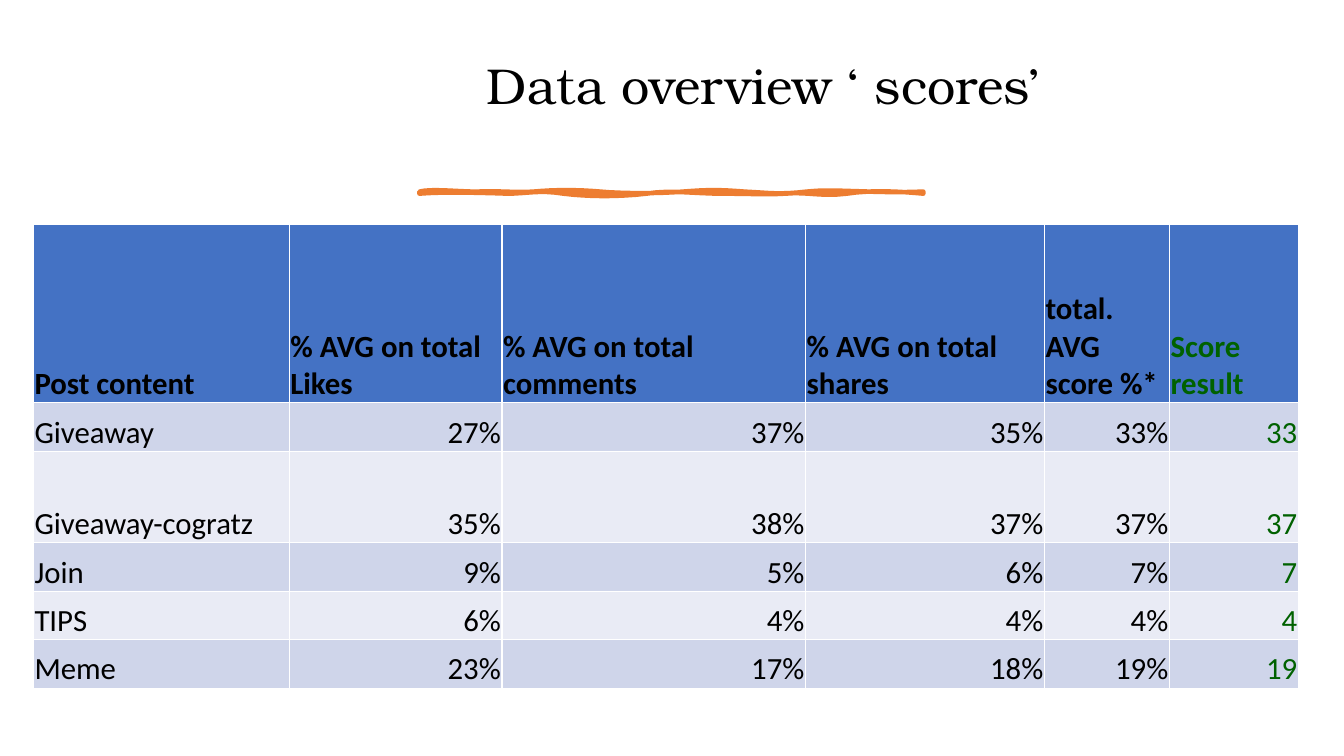
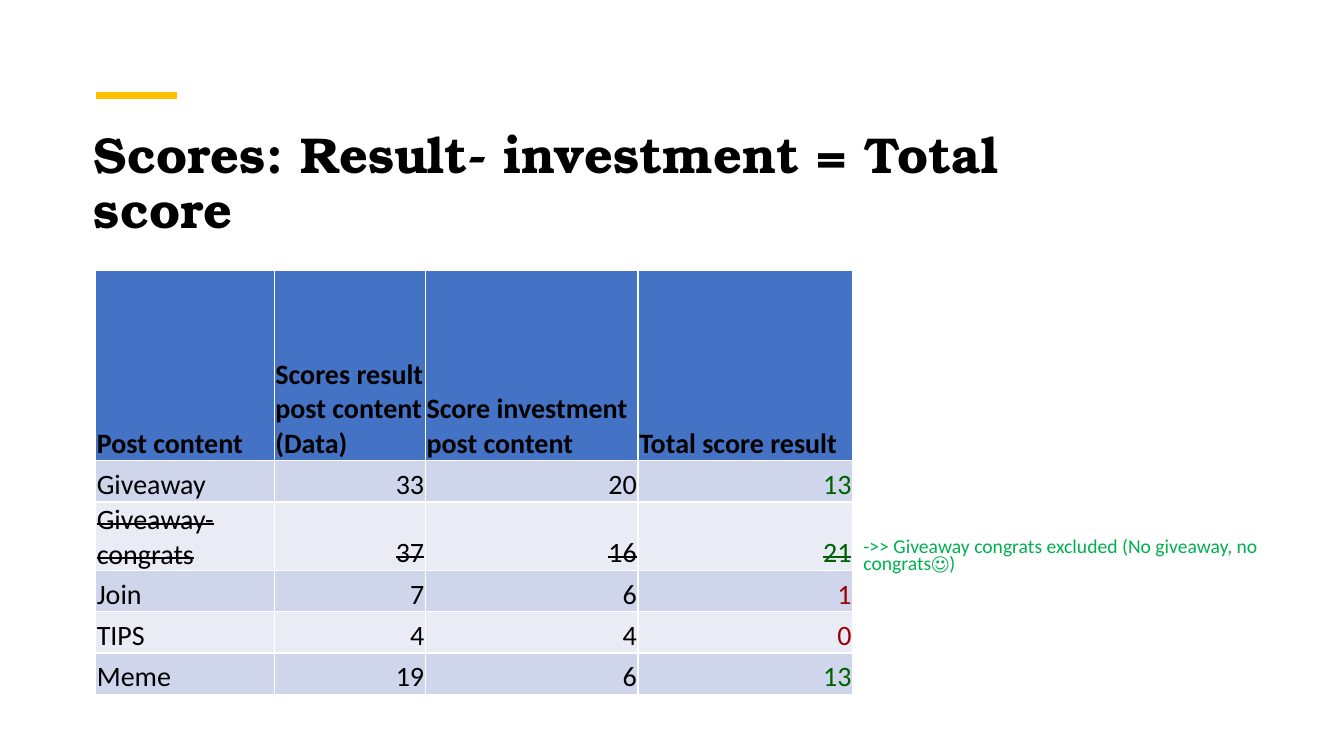
from dataclasses import dataclass

from pptx import Presentation
from pptx.dml.color import RGBColor as RGB
from pptx.enum.shapes import MSO_CONNECTOR as CONN
from pptx.enum.text import MSO_ANCHOR as ANCHOR, MSO_AUTO_SIZE as AUTO, PP_ALIGN as ALIGN
from pptx.oxml.ns import qn
from pptx.util import Cm, Pt
from lxml.etree import SubElement


@dataclass(frozen=True)
class Theme:
    black: str = "000000"
    header: str = "4472C4"
    bands: tuple = ("CFD5EA", "E9EBF5")
    good: str = "006100"
    bad: str = "9C0006"
    note: str = "00B050"
    orange: str = "ED7D31"
    gold: str = "FFC000"
    title_font: str = "TeX Gyre Bonum"
    body_font: str = "Calibri"
    title_size: int = 36
    note_size: int = 14


T = Theme()


def bezier(start, segments, steps=8):
    """Points along a chain of cubic curves."""
    for c1, c2, end in segments:
        for i in range(1, steps + 1):
            t = i / steps
            weights = ((1 - t) ** 3, 3 * t * (1 - t) ** 2, 3 * t * t * (1 - t), t ** 3)
            yield tuple(sum(w * pt[axis] for w, pt in zip(weights, (start, c1, c2, end)))
                        for axis in (0, 1))
        start = end


class Deck:
    def __init__(self):
        self.prs = Presentation()
        self.prs.slide_width, self.prs.slide_height = Cm(33.87), Cm(19.05)
        self.s = None

    def slide(self):
        self.s = self.prs.slides.add_slide(self.prs.slide_layouts[5])

    def style(self, p, size, color=T.black, font=T.body_font, bold=False,
              align=ALIGN.LEFT, spacing=None):
        f = p.font
        f.name, f.size, f.bold = font, Pt(size), bold
        f.color.rgb = RGB.from_string(color)
        p.alignment = align
        if spacing:
            p.line_spacing = spacing

    def place(self, sp, box):
        sp.left, sp.top, sp.width, sp.height = map(Cm, box)

    def title(self, text, box, bold=False, align=ALIGN.LEFT, anchor=ANCHOR.TOP,
              indent=0, bottom=0.13):
        sp = self.s.shapes.title
        self.place(sp, box)
        tf = sp.text_frame
        tf.text = text
        tf.auto_size, tf.vertical_anchor = AUTO.NONE, anchor
        tf.margin_bottom = Cm(bottom)
        p = tf.paragraphs[0]
        self.style(p, T.title_size, font=T.title_font, bold=bold, align=align, spacing=0.9)
        if indent:
            p._p.get_or_add_pPr().set("marL", str(Cm(indent)))

    def note(self, text, box, top):
        tf = self.s.shapes.add_textbox(*map(Cm, box)).text_frame
        tf.word_wrap, tf.margin_top = True, Cm(top)
        tf.text = text
        self.style(tf.paragraphs[0], T.note_size, T.note, spacing=0.7)

    def line(self, x1, y1, x2, y2, color, width):
        sp = self.s.shapes.add_connector(CONN.STRAIGHT, *map(Cm, (x1, y1, x2, y2)))
        sp.line.color.rgb, sp.line.width = RGB.from_string(color), Pt(width)
        SubElement(sp._element.spPr, qn("a:effectLst"))

    def brush(self, left, top, upper, lower, color, width):
        edge = upper[-1][2]
        start = (edge[0], lower[-1][2][1])
        points = [*bezier((0, 0), upper), start, *bezier(start, lower)]
        fb = self.s.shapes.build_freeform(Cm(left), Cm(top))
        fb.add_line_segments([(Cm(left + x), Cm(top + y)) for x, y in points])
        sp = fb.convert_to_shape()
        sp.shadow.inherit = False
        sp.fill.solid()
        sp.fill.fore_color.rgb = sp.line.color.rgb = RGB.from_string(color)
        sp.line.width = Pt(width)

    def table(self, left, top, widths, heights, rows, size, last_colors, struck=None):
        frame = self.s.shapes.add_table(len(rows), len(widths), Cm(left), Cm(top),
                                        Cm(sum(widths)), Cm(sum(heights)))
        tbl = frame.table
        for col, w in zip(tbl.columns, widths):
            col.width = Cm(w)
        for i, (row, h) in enumerate(zip(rows, heights)):
            tbl.rows[i].height = Cm(h)
            for j, text in enumerate(row):
                cell = tbl.cell(i, j)
                cell.fill.solid()
                cell.fill.fore_color.rgb = RGB.from_string(
                    T.bands[(i - 1) % 2] if i else T.header)
                cell.vertical_anchor = ANCHOR.BOTTOM
                cell.margin_left = cell.margin_right = cell.margin_top = Cm(0.03)
                cell.margin_bottom = 0
                cell.text = text
                p = cell.text_frame.paragraphs[0]
                self.style(p, size, last_colors[i] if j == len(row) - 1 else T.black,
                           bold=i == 0, align=ALIGN.RIGHT if i and j else ALIGN.LEFT)
                if i == struck:
                    p.runs[0]._r.get_or_add_rPr().set("strike", "sngStrike")


deck = Deck()

# Slide 1: averages and scores per kind of post
deck.slide()
deck.title("Data overview ‘ scores’", (1.78, 1.17, 30.3, 3.48),
           align=ALIGN.CENTER, anchor=ANCHOR.MIDDLE, indent=4.62, bottom=1.52)

# Brush stroke: two control points and an end point per curve
UPPER = [((0.3, -0.08), (0.97, 0), (1.45, 0)),
         ((1.93, -0.03), (2.36, 0.03), (2.87, 0)),
         ((3.38, -0.05), (4.01, -0.05), (4.57, 0)),
         ((5.11, 0.05), (6.02, 0.05), (6.63, 0)),
         ((7.26, -0.05), (7.57, -0.05), (8.2, 0)),
         ((8.81, 0.03), (9.09, 0.08), (9.75, 0)),
         ((10.41, -0.08), (11.46, 0.05), (12.7, 0))]
LOWER = [((12.17, 0), (11.4, -0.05), (10.77, 0.05)),
         ((10.13, 0.13), (9.78, 0), (9.22, 0.05)),
         ((8.64, 0.08), (8.41, 0.05), (7.65, 0.05)),
         ((6.88, 0.05), (6.38, -0.05), (5.72, 0.05)),
         ((5.03, 0.13), (4.29, 0.13), (3.63, 0.05)),
         ((3, -0.05), (2.72, 0.05), (2.21, 0.05)),
         ((1.7, 0.03), (0.56, 0), (0, 0.05))]
deck.brush(10.57, 4.83, UPPER, LOWER, T.orange, 3.25)

deck.table(0.84, 5.65, (6.45, 5.36, 7.65, 6.02, 3.15, 3.25),
           (4.5, 1.22, 2.31, 1.22, 1.22, 1.22), [
    ("Post content", "% AVG on total Likes", "% AVG on total comments",
     "% AVG on total shares", "total. AVG score %*", "Score result"),
    ("Giveaway", "27%", "37%", "35%", "33%", "33"),
    ("Giveaway-cogratz", "35%", "38%", "37%", "37%", "37"),
    ("Join", "9%", "5%", "6%", "7%", "7"),
    ("TIPS", "6%", "4%", "4%", "4%", "4"),
    ("Meme", "23%", "17%", "18%", "19%", "19"),
], 22, [T.good] * 6)

# Slide 2: result minus investment
deck.slide()
deck.title("Scores: Result- investment = Total score", (2.11, 3.15, 25.17, 2.92), bold=True)
deck.line(2.41, 2.41, 4.45, 2.41, T.gold, 4.5)
deck.note("->> Giveaway congrats excluded (No giveaway, no congrats☺)",
          (21.51, 9.53, 11.53, 5.46), top=4.09)
deck.table(2.41, 6.81, (4.5, 3.81, 5.36, 5.41), (4.8, 1.04, 1.7, 1.04, 1.04, 1.04), [
    ("Post content", "Scores result post content (Data)",
     "Score investment post content", "Total score result"),
    ("Giveaway", "33", "20", "13"),
    ("Giveaway-congrats", "37", "16", "21"),
    ("Join", "7", "6", "1"),
    ("TIPS", "4", "4", "0"),
    ("Meme", "19", "6", "13"),
], 20, [T.black, T.good, T.good, T.bad, T.bad, T.good], struck=2)

deck.prs.save("out.pptx")
